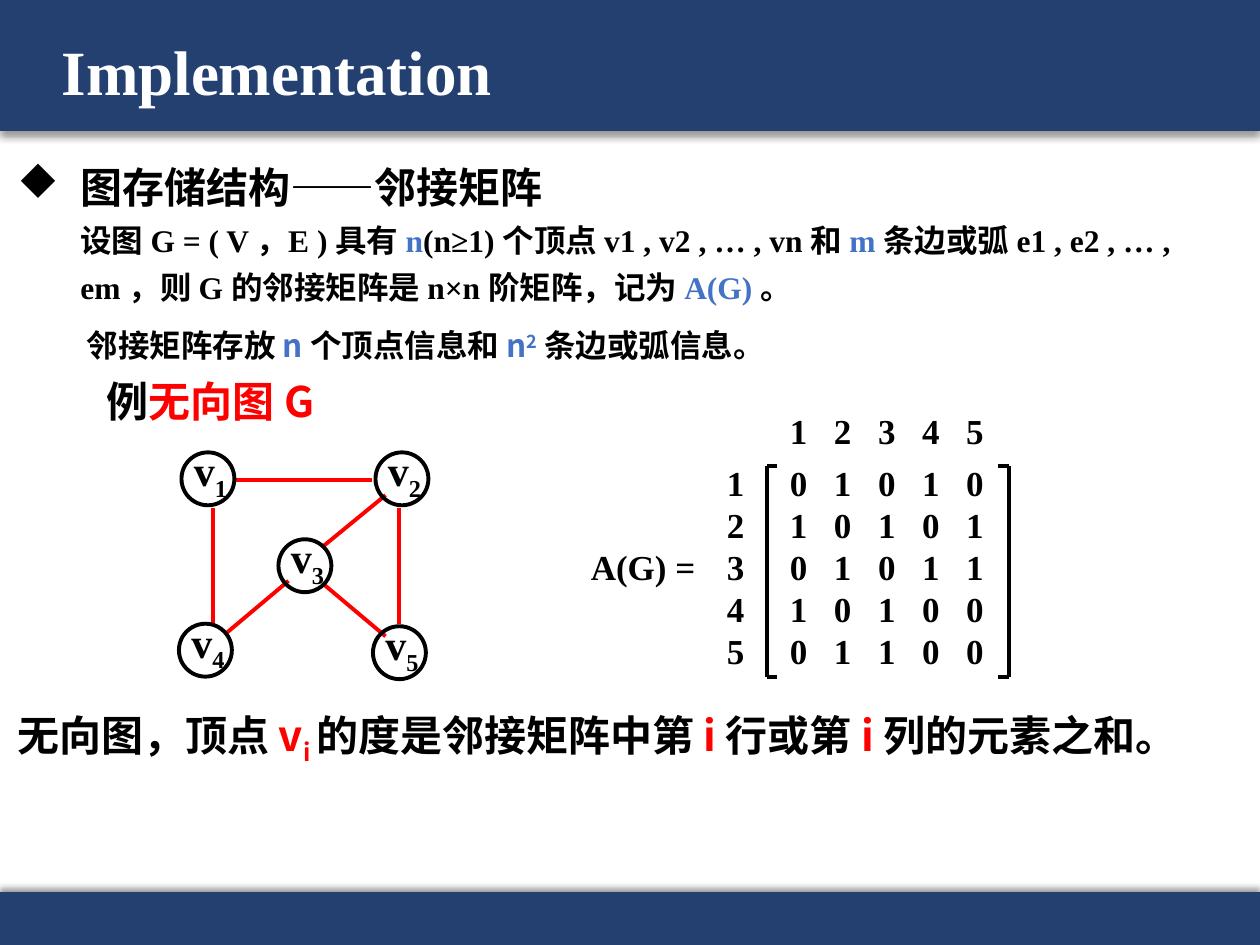
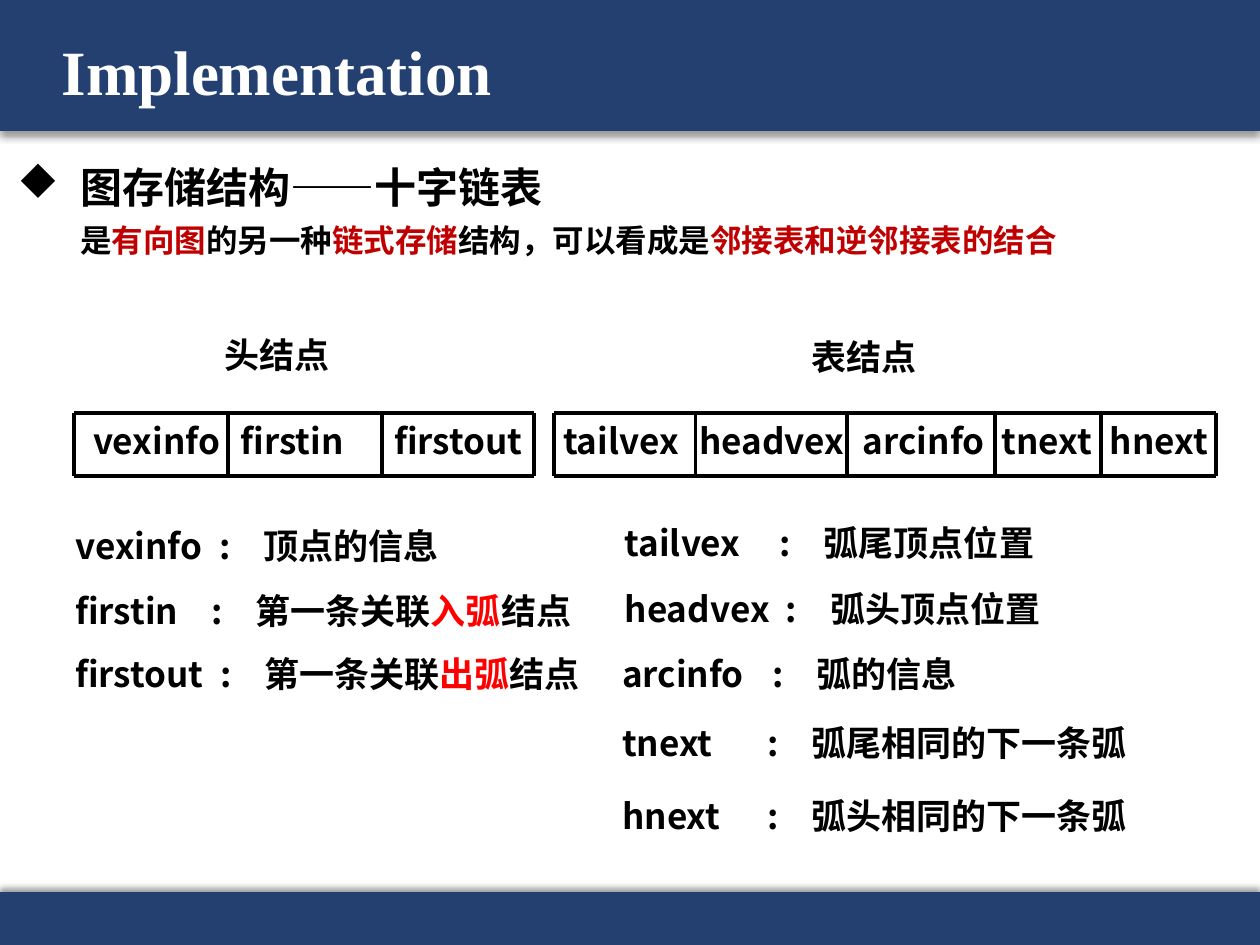
from lxml import etree
from pptx import Presentation
from pptx.dml.color import RGBColor
from pptx.enum.shapes import MSO_CONNECTOR, MSO_SHAPE
from pptx.enum.text import MSO_ANCHOR
from pptx.oxml.ns import qn
from pptx.util import Inches, Pt

RECT, OVAL = MSO_SHAPE.RECTANGLE, MSO_SHAPE.OVAL
STRAIGHT = MSO_CONNECTOR.STRAIGHT
TOP, MIDDLE = MSO_ANCHOR.TOP, MSO_ANCHOR.MIDDLE

NAVY = RGBColor(0x23, 0x40, 0x71)
WHITE = RGBColor(0xFF, 0xFF, 0xFF)
BLACK = RGBColor(0, 0, 0)
BLUE = RGBColor(0x44, 0x72, 0xC4)
RED = RGBColor(0xFF, 0, 0)
DARK_RED = RGBColor(0xC0, 0, 0)
SERIF, SANS = "Times New Roman", "Noto Sans CJK SC"
LINE_WIDTH = Pt(2.25)


def sub(parent, tag, **attrs):
    return etree.SubElement(parent, qn(tag), {k: str(v) for k, v in attrs.items()})


def add_runs(p, runs, size, font):
    """Each run is a text or a (text, colour[, baseline percent]) tuple."""
    for run in runs:
        if run == "\n":
            p.add_line_break()
            continue
        if isinstance(run, str):
            run = (run, BLACK)
        text, color, *base = run
        r = p.add_run()
        r.text = text
        for name, value in {"size": Pt(size), "name": font, "bold": True}.items():
            setattr(r.font, name, value)
        r.font.color.rgb = color
        rPr = r.font._element
        sub(rPr, "a:ea", typeface=SANS)
        if base:
            rPr.set("baseline", str(base[0] * 1000))


def add_text(s, box, runs, size=20, font=SANS, tabs=(), anchor=TOP):
    tf = s.shapes.add_textbox(*map(Inches, box)).text_frame
    tf.word_wrap = True
    tf.vertical_anchor = anchor
    p = tf.paragraphs[0]
    if tabs:
        tab_list = sub(p._p.get_or_add_pPr(), "a:tabLst")
        for pos in tabs:
            sub(tab_list, "a:tab", pos=Inches(pos), algn="l")
    add_runs(p, runs, size, font)
    return p


def add_line(s, start, end, color=BLACK):
    line = s.shapes.add_connector(STRAIGHT, *map(Inches, start + end))
    line.line.color.rgb = color
    line.line.width = LINE_WIDTH
    sub(line._element.spPr, "a:effectLst")


def add_band(s, top, height, shadow_angle):
    sp = s.shapes.add_shape(RECT, 0, Inches(top), Inches(10), Inches(height))
    sp.fill.solid()
    sp.fill.fore_color.rgb = NAVY
    sp.line.fill.background()
    effects = sub(sp._element.spPr, "a:effectLst")
    shadow = sub(effects, "a:outerShdw", blurRad=Pt(4), dist=Pt(3),
                 dir=shadow_angle * 60000, rotWithShape=0)
    sub(sub(shadow, "a:srgbClr", val="000000"), "a:alpha", val=40000)


def new_slide(prs, title):
    s = prs.slides.add_slide(prs.slide_layouts[6])
    add_band(s, 0, 1.04, 90)
    add_band(s, 7.08, 0.42, 270)
    p = add_text(s, (0.39, 0.17, 8.62, 0.86), [(title, WHITE)], 36, SERIF, anchor=MIDDLE)
    p.line_spacing = 0.9
    return s


def add_topic(s, box, heading, runs, font):
    """Bulleted heading with its explanation on the lines below."""
    p = add_text(s, box, [], font=font)
    p.line_spacing = 1.25
    pPr = p._p.get_or_add_pPr()
    pPr.set("marL", str(Inches(0.5)))
    pPr.set("indent", str(Inches(-0.5)))
    sub(pPr, "a:buFont", typeface="Wingdings", charset=2)
    sub(pPr, "a:buChar", char="u")
    add_runs(p, [heading, "\n"], 24, font)
    add_runs(p, runs, 18, font)


def add_vertex(s, x, y, number):
    sp = s.shapes.add_shape(OVAL, *map(Inches, (x, y, 0.42, 0.42)))
    sp.shadow.inherit = False
    sp.fill.background()
    sp.line.color.rgb = BLACK
    sp.line.width = LINE_WIDTH
    add_text(s, (x, y - 0.11, 0.75, 0.5), ["v", (str(number), BLACK, -25)], 24, SERIF)


def add_graph(s, left, top):
    edges = [((0.45, 0.22), (1.53, 0.22)), ((0.27, 0.44), (0.27, 1.36)),
             ((1.75, 0.44), (1.75, 1.36)), ((1.14, 1.04), (1.64, 1.46)),
             ((1.64, 0.34), (1.14, 0.75)), ((0.87, 1.02), (0.37, 1.44))]
    vertices = [(0.02, 0), (1.56, 0), (0.79, 0.69), (0, 1.36), (1.54, 1.38)]
    for start, end in edges:
        add_line(s, (left + start[0], top + start[1]), (left + end[0], top + end[1]), RED)
    for number, (dx, dy) in enumerate(vertices, 1):
        add_vertex(s, left + dx, top + dy, number)


def add_bracket(s, spine, tip, top, bottom):
    add_line(s, (spine, top), (spine, bottom))
    for y in (top, bottom):
        add_line(s, (spine, y), (tip, y))


def add_matrix(s, left, top, rows):
    """Matrix with numbered rows and columns; left, top is its first entry."""
    tabs = [0.35 * i for i in range(1, 5)]

    def add_row(digits, y):
        add_text(s, (left, y, 2.75, 0.44), ["\t".join(digits)], font=SERIF, tabs=tabs)

    add_row("12345", top - 0.41)
    for i, digits in enumerate(rows):
        y = top + i / 3
        add_row(digits, y)
        add_text(s, (left - 0.5, y, 0.33, 0.44), [str(i + 1)], font=SERIF)
    add_text(s, (left - 1.58, top + 2 / 3, 1.75, 0.44), ["A(G) ="], font=SERIF)
    for spine, tip in [(-0.08, 0), (1.84, 1.75)]:
        add_bracket(s, left + spine, left + tip, top + 0.09, top + 1.76)


def add_node(s, left, top, fields):
    """Ruled row of fields, each given as name, width and label offset."""
    bottom = top + 0.5
    right = left + sum(width for _, width, _ in fields)
    for y in (top, bottom):
        add_line(s, (left, y), (right, y))
    add_line(s, (left, top), (left, bottom))
    for name, width, offset in fields:
        add_text(s, (left + offset, top, width + 0.3, 0.44), [name])
        left += width
        add_line(s, (left, top), (left, bottom))


def add_field_notes(s, width, notes):
    """Each note is left, top, field name, colon position and meaning."""
    for left, top, name, colon, meaning in notes:
        add_text(s, (left, top, width, 0.44), [f"{name}\t:\t", *meaning],
                 tabs=(colon, colon + 0.35))


def adjacency_matrix_slide(prs):
    s = new_slide(prs, "Implementation")
    add_topic(s, (0.04, 1.13, 9.48, 1.36), "图存储结构——邻接矩阵", [
        "设图 G = ( V ，E ) 具有 ", ("n", BLUE), "(n≥1) 个顶点 v1 , v2 , … , vn 和 ",
        ("m", BLUE), " 条边或弧 e1 , e2 , … , em ，则 G 的邻接矩阵是 n×n 阶矩阵，记为 ",
        ("A(G)", BLUE), " 。"], SERIF)
    add_text(s, (0.59, 2.54, 8.33, 0.4), [
        "邻接矩阵存放 ", ("n ", BLUE), "个顶点信息和 ", ("n", BLUE), ("2", BLUE, 30),
        " 条边或弧信息。"], 18)
    add_text(s, (0.75, 2.93, 2.83, 0.5), ["例", ("无向图 G", RED)], 24)
    add_graph(s, 1.42, 3.59)
    add_matrix(s, 6.17, 3.61, ["01010", "10101", "01011", "10100", "01100"])
    add_text(s, (0.04, 5.58, 9.92, 0.5), [
        "无向图，顶点 ", ("v", RED), ("i ", RED, -25), "的度是邻接矩阵中第 ", ("i ", RED),
        "行或第 ", ("i ", RED), "列的元素之和。"], 24)


def orthogonal_list_slide(prs):
    s = new_slide(prs, "Implementation")
    add_topic(s, (0.04, 1.13, 9.48, 0.93), "图存储结构——十字链表", [
        "是", ("有向图", DARK_RED), "的另一种", ("链式存储", DARK_RED),
        "结构，可以看成是", ("邻接表和逆邻接表的结合", DARK_RED)], SANS)
    add_text(s, (1.68, 2.6, 1.69, 0.44), ["头结点"])
    add_text(s, (6.34, 2.61, 2.91, 0.44), ["表结点"])
    add_node(s, 0.59, 3.28, [("vexinfo", 1.22, 0.05), ("firstin", 1.22, 0),
                             ("firstout", 1.21, 0)])
    add_node(s, 4.4, 3.28, [("tailvex", 1.12, -0.03), ("headvex", 1.2, -0.07),
                            ("arcinfo", 1.18, 0.03), ("tnext", 0.84, -0.05),
                            ("hnext", 0.91, -0.03)])
    add_field_notes(s, 4.57, [
        (0.5, 4.11, "vexinfo", 1.14, ["顶点的信息"]),
        (0.5, 4.63, "firstin", 1.08, ["第一条关联", ("入弧", RED), "结点"]),
        (0.5, 5.13, "firstout", 1.15, ["第一条关联", ("出弧", RED), "结点"])])
    add_field_notes(s, 4.87, [
        (4.86, 4.09, "tailvex", 1.23, ["弧尾顶点位置"]),
        (4.86, 4.61, "headvex", 1.28, ["弧头顶点位置"]),
        (4.84, 5.13, "arcinfo", 1.19, ["弧的信息"]),
        (4.84, 5.68, "tnext", 1.15, ["弧尾相同的下一条弧"]),
        (4.84, 6.26, "hnext", 1.15, ["弧头相同的下一条弧"])])


def main():
    prs = Presentation()
    prs.slide_width, prs.slide_height = Inches(10), Inches(7.5)
    adjacency_matrix_slide(prs)
    orthogonal_list_slide(prs)
    prs.save("out.pptx")


if __name__ == "__main__":
    main()
